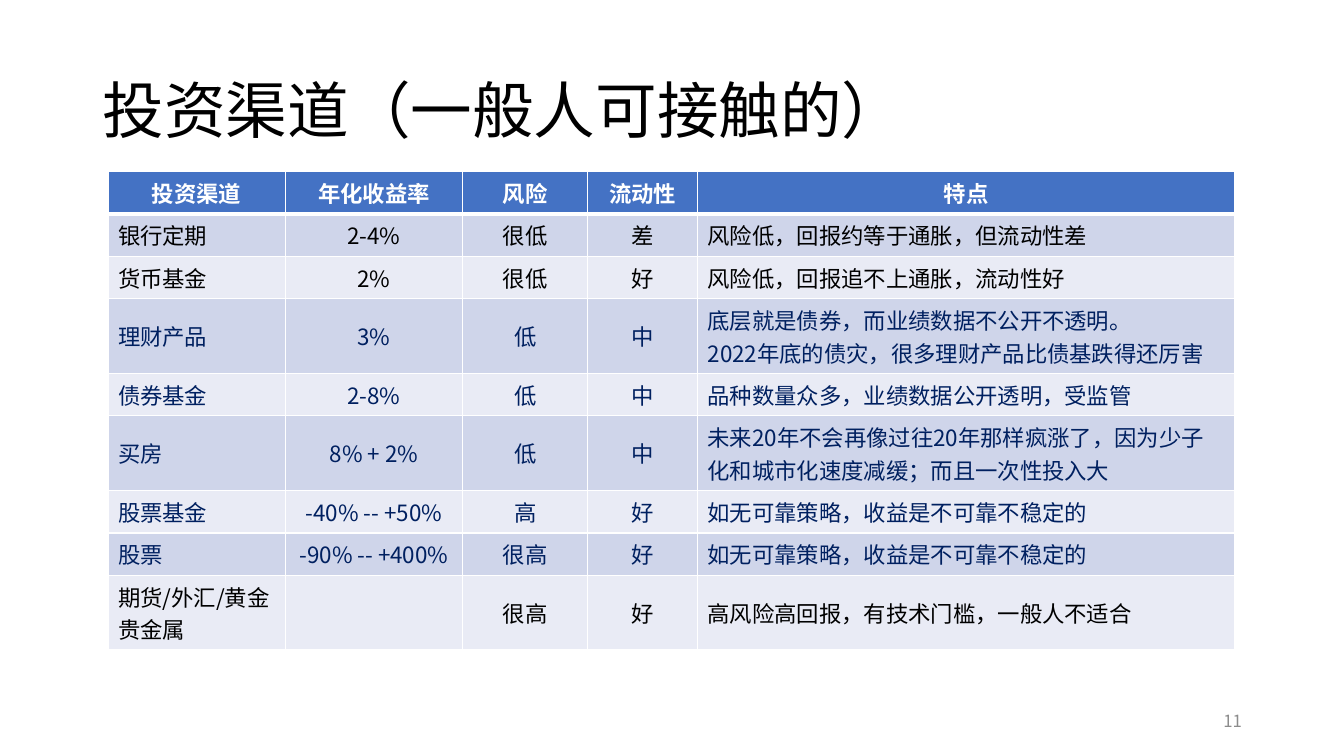
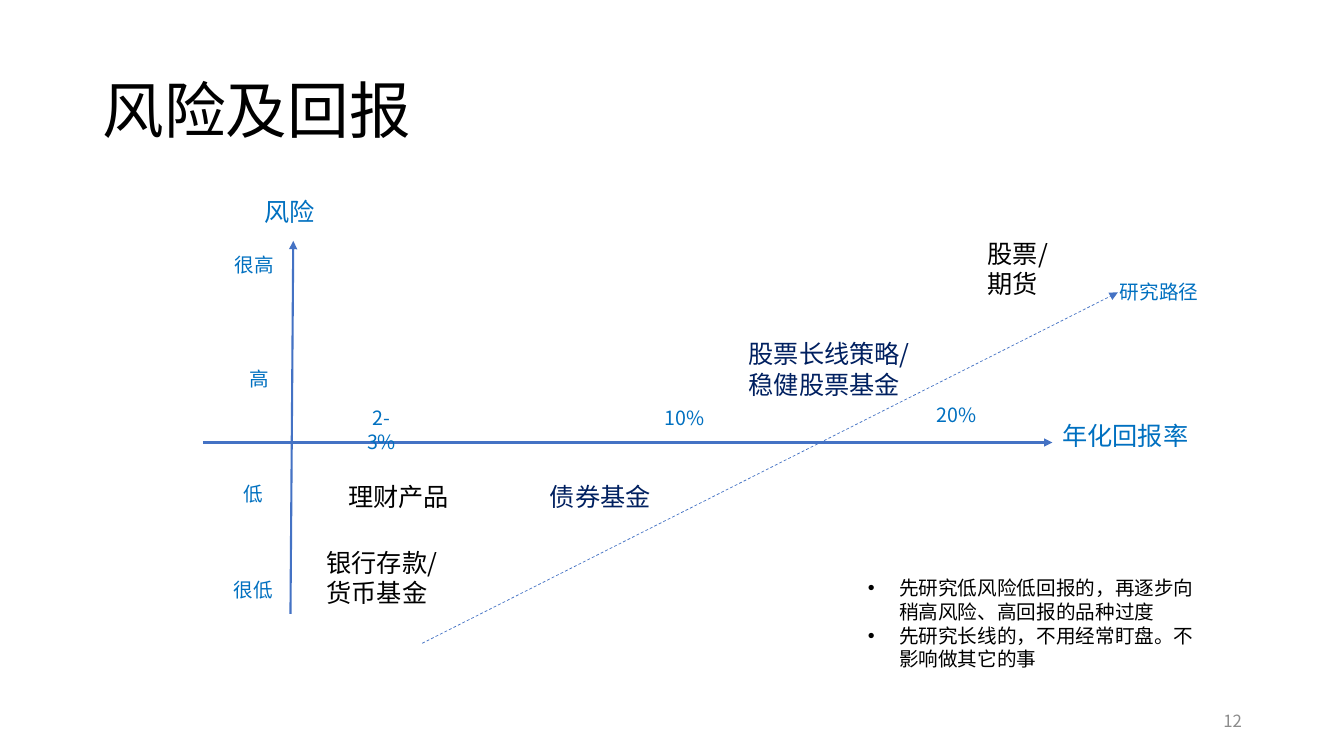
import pptx
import pptx.util
import pptx.dml.color
import pptx.enum.dml
import pptx.enum.shapes
import pptx.enum.text
import pptx.oxml
import pptx.oxml.ns
from dataclasses import dataclass
from lxml import etree

Cm, Pt = pptx.util.Cm, pptx.util.Pt
RGB = pptx.dml.color.RGBColor.from_string
ALIGN = pptx.enum.text.PP_ALIGN
ANCHOR = pptx.enum.text.MSO_ANCHOR
qn = pptx.oxml.ns.qn


@dataclass(frozen=True)
class Theme:
    font: str = "Noto Sans CJK SC"
    black: str = "000000"
    white: str = "FFFFFF"
    grey: str = "8C8C8C"
    navy: str = "002060"
    blue: str = "0070C0"
    accent: str = "4472C4"
    bands: tuple = ("CFD5EA", "E9EBF5")
    title: int = 44
    body: int = 18
    cell: int = 16
    small: int = 14
    footer: int = 12


T = Theme()


def write_text(tf, text, size, color, align=ALIGN.LEFT, bold=False):
    """Fill a text frame with one paragraph for each line of text."""
    for i, line in enumerate(text.split("\n")):
        p = tf.paragraphs[0] if i == 0 else tf.add_paragraph()
        p.alignment = align
        r = p.add_run()
        r.text = line
        r.font.size = Pt(size)
        r.font.bold = bold
        r.font.name = T.font
        r.font.color.rgb = RGB(color)
        etree.SubElement(r.font._element, qn("a:ea"), typeface=T.font)


def add_text(s, box, text, size, color, align=ALIGN.LEFT, anchor=ANCHOR.TOP):
    """Add a wrapping text box; box is left, top, width, height in cm."""
    tf = s.shapes.add_textbox(*[Cm(v) for v in box]).text_frame
    tf.word_wrap = True
    tf.vertical_anchor = anchor
    write_text(tf, text, size, color, align)
    return tf


prs = pptx.Presentation()
prs.slide_width, prs.slide_height = Cm(33.87), Cm(19.05)

# Title and page number on every slide
slides = []
for number, title in [(11, "投资渠道（一般人可接触的）"), (12, "风险及回报")]:
    s = prs.slides.add_slide(prs.slide_layouts[6])
    tf = add_text(s, (2.34, 1.02, 29.21, 3.68), title, T.title, T.black,
                  anchor=ANCHOR.MIDDLE)
    tf.paragraphs[0].line_spacing = 0.9
    add_text(s, (23.93, 17.65, 7.62, 1.02), str(number), T.footer, T.grey,
             ALIGN.RIGHT, ANCHOR.MIDDLE)
    slides.append(s)
channel_slide, risk_slide = slides

# Table of investment channels: line count, text colour, cell texts
header = ("投资渠道", "年化收益率", "风险", "流动性", "特点")
channels = [
    (1, T.black, "银行定期", "2-4%", "很低", "差", "风险低，回报约等于通胀，但流动性差"),
    (1, T.black, "货币基金", "2%", "很低", "好", "风险低，回报追不上通胀，流动性好"),
    (2, T.navy, "理财产品", "3%", "低", "中",
     "底层就是债券，而业绩数据不公开不透明。\n2022年底的债灾，很多理财产品比债基跌得还厉害"),
    (1, T.navy, "债券基金", "2-8%", "低", "中", "品种数量众多，业绩数据公开透明，受监管"),
    (2, T.navy, "买房", "8% + 2%", "低", "中",
     "未来20年不会再像过往20年那样疯涨了，因为少子化和城市化速度减缓；而且一次性投入大"),
    (1, T.navy, "股票基金", "-40% -- +50%", "高", "好", "如无可靠策略，收益是不可靠不稳定的"),
    (1, T.navy, "股票", "-90% -- +400%", "很高", "好", "如无可靠策略，收益是不可靠不稳定的"),
    (2, T.black, "期货/外汇/黄金贵金属", "", "很高", "好",
     "高风险高回报，有技术门槛，一般人不适合"),
]
rows = [(1, T.white, *header), *channels]
widths = (4.47, 4.47, 3.15, 2.77, 13.54)
row_heights = {1: 1.07, 2: 1.88}
table = channel_slide.shapes.add_table(
    len(rows), len(widths), Cm(2.72), Cm(4.32), Cm(sum(widths)),
    Cm(sum(row_heights[row[0]] for row in rows))).table
table.horz_banding = False
for column, width in zip(table.columns, widths):
    column.width = Cm(width)
for i, (line_count, color, *texts) in enumerate(rows):
    table.rows[i].height = Cm(row_heights[line_count])
    for j, text in enumerate(texts):
        cell = table.cell(i, j)
        cell.vertical_anchor = ANCHOR.MIDDLE
        cell.fill.solid()
        cell.fill.fore_color.rgb = RGB(T.accent if i == 0 else T.bands[(i - 1) % 2])
        if text:
            centred = i == 0 or 0 < j < len(widths) - 1
            write_text(cell.text_frame, text, T.cell, color,
                       ALIGN.CENTER if centred else ALIGN.LEFT, bold=i == 0)
        thick_side = {0: "lnB", 1: "lnT"}.get(i)
        tcPr = cell._tc.get_or_add_tcPr()
        for k, side in enumerate(("lnL", "lnR", "lnT", "lnB")):
            ln = etree.Element(qn(f"a:{side}"), w=str(Pt(3 if side == thick_side else 1)))
            fill = etree.SubElement(ln, qn("a:solidFill"))
            etree.SubElement(fill, qn("a:srgbClr"), val=T.white)
            tcPr.insert(k, ln)

# Axes and research route: start, end, line width, dashed
arrows = [
    ((5.11, 11.15), (26.52, 11.15), 1.5, False),
    ((7.32, 15.47), (7.39, 6.07), 1.5, False),
    ((10.64, 16.21), (28.17, 7.37), 0.5, True),
]
for start, end, width, dashed in arrows:
    arrow = risk_slide.shapes.add_connector(
        pptx.enum.shapes.MSO_CONNECTOR.STRAIGHT, *[Cm(v) for v in start + end])
    arrow.line.color.rgb = RGB(T.accent)
    arrow.line.width = Pt(width)
    if dashed:
        arrow.line.dash_style = pptx.enum.dml.MSO_LINE.DASH
    etree.SubElement(arrow.line._get_or_add_ln(), qn("a:tailEnd"), type="triangle")
    etree.SubElement(arrow._element.spPr, qn("a:effectLst"))

# Scale marks along both axes
marks = [
    (16.43, 10.11, "10%"), (23.29, 10.03, "20%"), (8.79, 10.11, "2-3%"),
    (5.59, 6.25, "很高"), (5.72, 9.12, "高"), (5.56, 12.01, "低"), (5.56, 14.45, "很低"),
]
for left, top, text in marks:
    add_text(risk_slide, (left, top, 1.65, 0.86), text, T.small, T.blue, ALIGN.CENTER)

# Axis names and investments
labels = [
    (6.07, 4.83, 2.46, "风险", T.blue, ALIGN.CENTER),
    (26.52, 10.46, 3.81, "年化回报率", T.blue, ALIGN.LEFT),
    (7.98, 13.67, 3.66, "银行存款/\n货币基金", T.black, ALIGN.LEFT),
    (8.53, 12.01, 3.18, "理财产品", T.black, ALIGN.LEFT),
    (13.61, 12.01, 3.18, "债券基金", T.navy, ALIGN.LEFT),
    (18.62, 8.41, 4.95, "股票长线策略/\n稳健股票基金", T.navy, ALIGN.LEFT),
    (24.64, 5.87, 2.74, "股票/\n期货", T.black, ALIGN.LEFT),
]
for left, top, width, text, color, align in labels:
    height = 1.8 if "\n" in text else 1.02
    add_text(risk_slide, (left, top, width, height), text, T.body, color, align)
add_text(risk_slide, (27.97, 6.93, 2.74, 0.86), "研究路径", T.small, T.blue)

# Advice
advice = "先研究低风险低回报的，再逐步向稍高风险、高回报的品种过度\n先研究长线的，不用经常盯盘。不影响做其它的事"
tf = add_text(risk_slide, (21.62, 14.4, 8.76, 2.64), advice, T.small, T.black)
for p in tf.paragraphs:
    pPr = p._p.get_or_add_pPr()
    pPr.set("marL", str(Cm(0.79)))
    pPr.set("indent", str(-Cm(0.79)))
    etree.SubElement(pPr, qn("a:buFont"), typeface="Arial")
    etree.SubElement(pPr, qn("a:buChar"), char="•")

prs.save("out.pptx")
